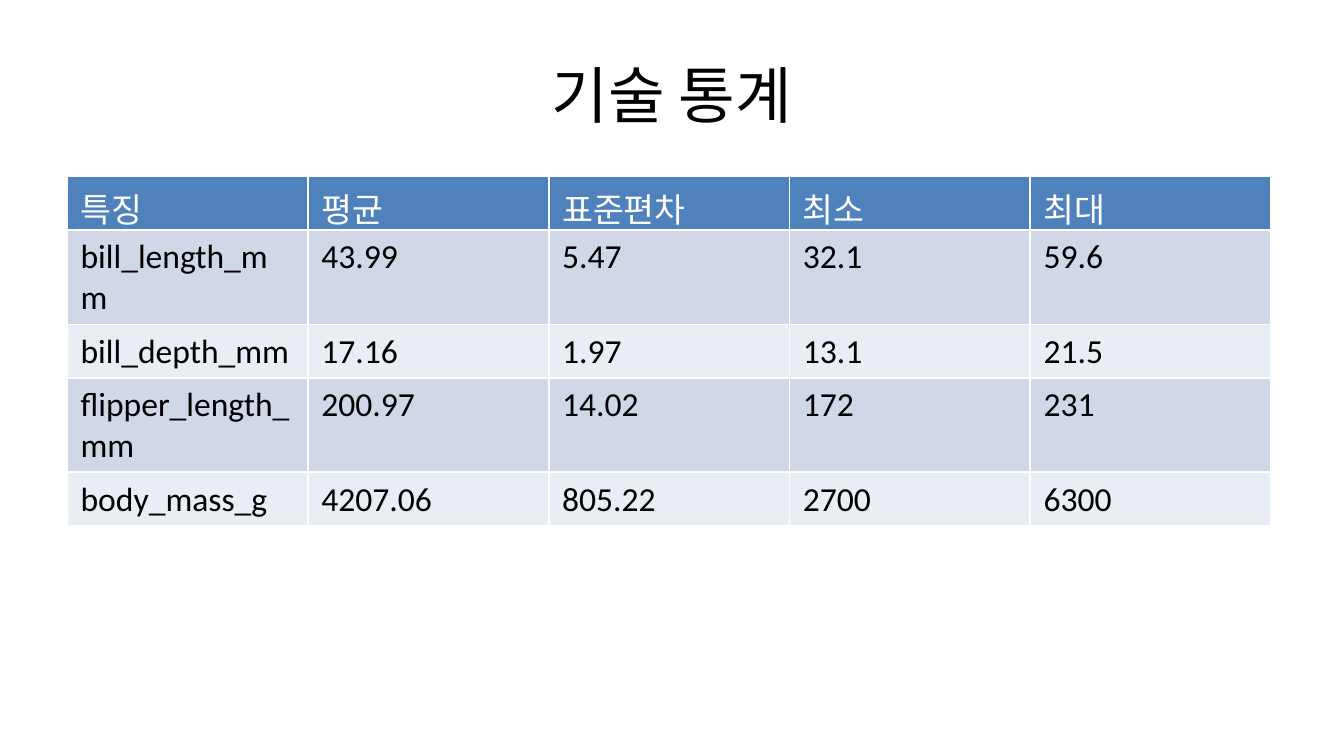
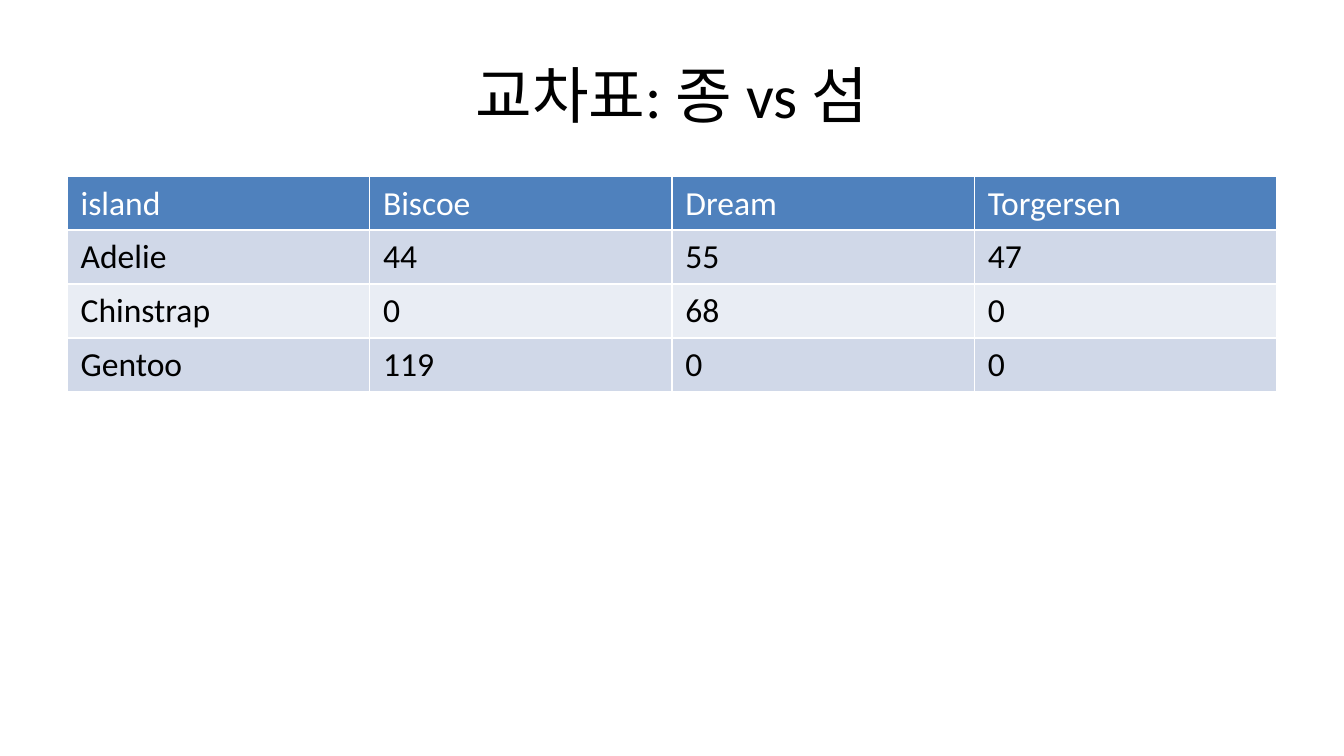
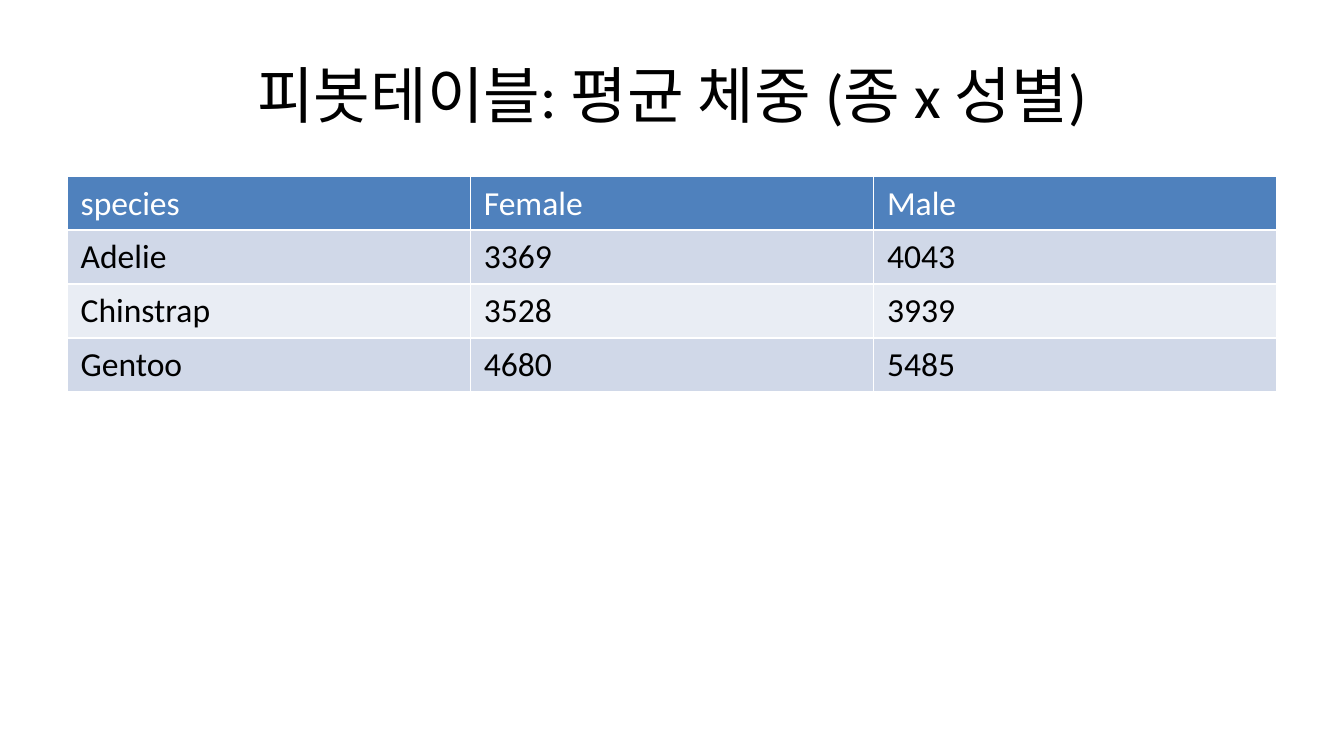
from dataclasses import dataclass

from pptx import Presentation
from pptx.dml.color import RGBColor
from pptx.enum.text import MSO_ANCHOR, PP_ALIGN
from pptx.util import Pt


@dataclass(frozen=True)
class Theme:
    font: str = "Calibri"
    title_size: float = 33
    cell_size: float = 18
    text: str = "000000"
    header_text: str = "FFFFFF"
    header_fill: str = "4F81BD"
    band_fills: tuple = ("D0D8E8", "E9EDF4")
    margin: float = 36
    content_width: int = 648
    title_top: float = 16.5
    title_height: float = 67.5
    table_top: float = 94.5
    table_height: float = 267.3


class Deck:
    def __init__(self, theme):
        self.theme = theme
        self.presentation = Presentation()
        self.presentation.slide_width = Pt(720)
        self.presentation.slide_height = Pt(405)
        self.slide = None

    def add_slide(self):
        blank = self.presentation.slide_layouts[6]
        self.slide = self.presentation.slides.add_slide(blank)

    def add_run(self, paragraph, text, size, color):
        run = paragraph.add_run()
        run.text = text
        run.font.name = self.theme.font
        run.font.size = Pt(size)
        run.font.bold = False
        run.font.color.rgb = RGBColor.from_string(color)

    def add_title(self, text):
        theme = self.theme
        title = self.slide.shapes.add_textbox(
            Pt(theme.margin), Pt(theme.title_top),
            Pt(theme.content_width), Pt(theme.title_height))
        frame = title.text_frame
        frame.word_wrap = True
        frame.vertical_anchor = MSO_ANCHOR.MIDDLE
        heading = frame.paragraphs[0]
        heading.alignment = PP_ALIGN.CENTER
        self.add_run(heading, text, theme.title_size, theme.text)

    def add_statistics(self, rows):
        """Add a banded table whose rows grow to fit their text."""
        theme = self.theme
        column_count = len(rows[0])
        frame = self.slide.shapes.add_table(
            len(rows), column_count, Pt(theme.margin), Pt(theme.table_top),
            Pt(theme.content_width), Pt(theme.table_height))
        table = frame.table
        for column in table.columns:
            column.width = Pt(theme.content_width // column_count)
        for row_index, values in enumerate(rows):
            table.rows[row_index].height = Pt(0)
            if row_index == 0:
                fill, color = theme.header_fill, theme.header_text
            else:
                fill, color = theme.band_fills[(row_index - 1) % 2], theme.text
            for column_index, value in enumerate(values):
                cell = table.cell(row_index, column_index)
                cell.fill.solid()
                cell.fill.fore_color.rgb = RGBColor.from_string(fill)
                self.add_run(cell.text_frame.paragraphs[0], value,
                             theme.cell_size, color)
        frame.height = Pt(theme.table_height)


SECTIONS = [
    ("기술 통계", [
        ("특징", "평균", "표준편차", "최소", "최대"),
        ("bill_length_mm", "43.99", "5.47", "32.1", "59.6"),
        ("bill_depth_mm", "17.16", "1.97", "13.1", "21.5"),
        ("flipper_length_mm", "200.97", "14.02", "172", "231"),
        ("body_mass_g", "4207.06", "805.22", "2700", "6300"),
    ]),
    ("교차표: 종 vs 섬", [
        ("island", "Biscoe", "Dream", "Torgersen"),
        ("Adelie", "44", "55", "47"),
        ("Chinstrap", "0", "68", "0"),
        ("Gentoo", "119", "0", "0"),
    ]),
    ("피봇테이블: 평균 체중 (종 x 성별)", [
        ("species", "Female", "Male"),
        ("Adelie", "3369", "4043"),
        ("Chinstrap", "3528", "3939"),
        ("Gentoo", "4680", "5485"),
    ]),
]


def main():
    deck = Deck(Theme())
    for title, rows in SECTIONS:
        deck.add_slide()
        deck.add_title(title)
        deck.add_statistics(rows)
    deck.presentation.save("out.pptx")


if __name__ == "__main__":
    main()
